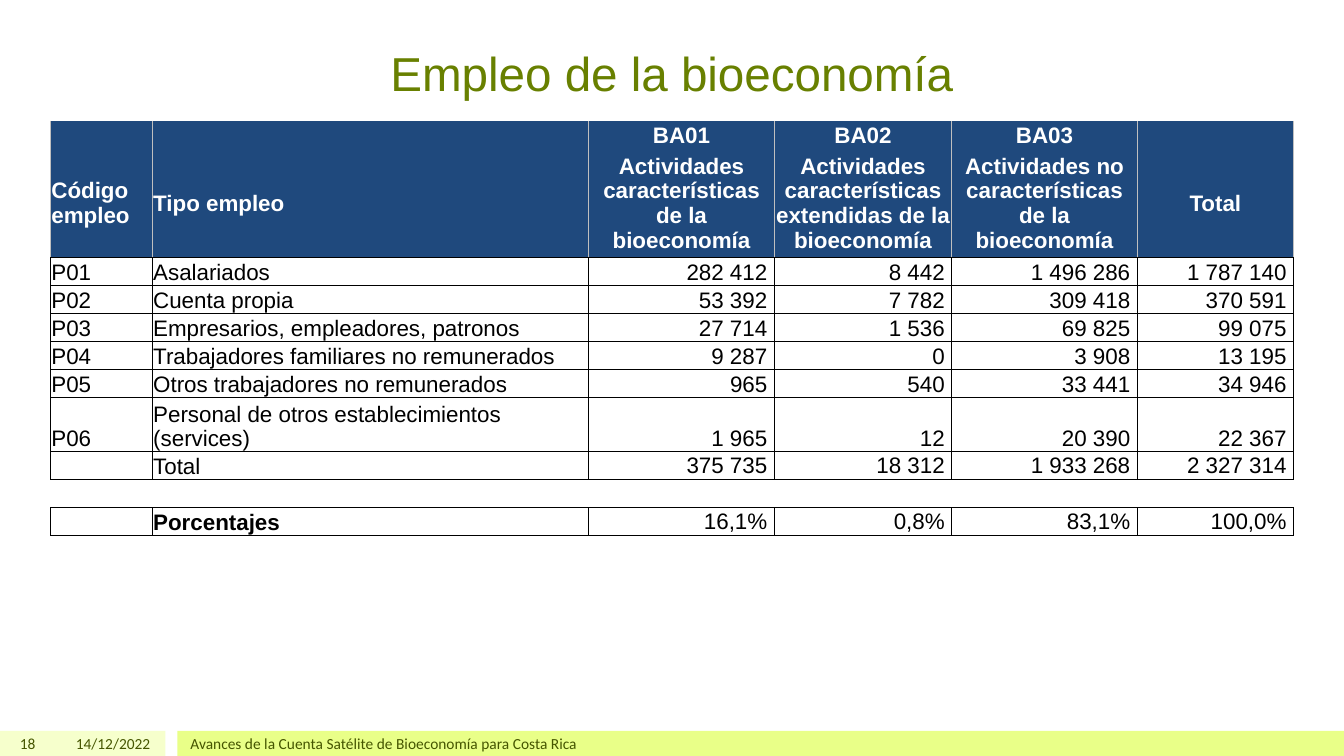
"""Build the slide with the employment table of the bioeconomy."""
from dataclasses import dataclass
from typing import Optional

from lxml.etree import SubElement
from pptx import Presentation
from pptx.dml.color import RGBColor
from pptx.enum.shapes import MSO_SHAPE
from pptx.enum.text import MSO_ANCHOR as Anchor, PP_ALIGN as Align
from pptx.oxml.ns import qn
from pptx.slide import Slide
from pptx.table import Table, _Cell as Cell
from pptx.text.text import TextFrame
from pptx.util import Inches, Pt


@dataclass(frozen=True)
class Theme:
    """Colours, fonts and type sizes of the slide."""
    title: str = "688000"
    footer: str = "455500"
    footer_left: str = "F6FFCC"
    footer_right: str = "E9FF88"
    header: str = "1F497D"
    header_line: str = "BFBFBF"
    white: str = "FFFFFF"
    black: str = "000000"
    body_font: str = "Arial"
    footer_font: str = "Calibri"
    title_size: int = 34
    table_size: int = 16
    footer_size: int = 11


@dataclass(frozen=True)
class Style:
    """Look of one piece of text."""
    font: str
    size: int
    color: str
    bold: bool = False
    align: Align = Align.LEFT
    anchor: Anchor = Anchor.MIDDLE


@dataclass(frozen=True)
class Line:
    """Colour and width of a cell border."""
    color: str
    width: float


@dataclass(frozen=True)
class FooterBand:
    """Coloured strip at the foot of the slide."""
    left: float
    width: float
    color: str


@dataclass(frozen=True)
class FooterText:
    """Text at the foot of the slide."""
    text: str
    left: float
    width: float
    align: Align


THEME = Theme()
BLACK_LINE = Line(THEME.black, 0.5)
HEADER_LINE = Line(THEME.header_line, 1)
FOOTER_TOP, FOOTER_HEIGHT = 7.25, 0.25
FOOTER_BANDS = [
    FooterBand(0, 1.64, THEME.footer_left),
    FooterBand(1.76, 11.57, THEME.footer_right),
]
FOOTER_TEXTS = [
    FooterText("18", 0, 0.45, Align.RIGHT),
    FooterText("14/12/2022", 0.5, 1.09, Align.RIGHT),
    FooterText("Avances de la Cuenta Satélite de Bioeconomía para Costa Rica", 1.79, 10, Align.LEFT),
]
COLUMN_WIDTHS = [1.01, 4.33, 1.84, 1.76, 1.84, 1.55]
ROW_HEIGHT = 0.26
TALL_ROWS = {1: 0.99, 7: 0.51}
HEADER_ROWS, TOTAL_ROW, GAP_ROW, PERCENT_ROW = 2, 8, 9, 10
LABEL_COLUMNS = 2
EMPLOYMENT = [
    ["", "", "BA01", "BA02", "BA03", ""],
    ["Código empleo", "Tipo empleo", "Actividades características de la bioeconomía",
     "Actividades características extendidas de la bioeconomía",
     "Actividades no características de la bioeconomía", "Total"],
    ["P01", "Asalariados", "282 412", "8 442", "1 496 286", "1 787 140"],
    ["P02", "Cuenta propia", "53 392", "7 782", "309 418", "370 591"],
    ["P03", "Empresarios, empleadores, patronos", "27 714", "1 536", "69 825", "99 075"],
    ["P04", "Trabajadores familiares no remunerados", "9 287", "0", "3 908", "13 195"],
    ["P05", "Otros trabajadores no remunerados", "965", "540", "33 441", "34 946"],
    ["P06", "Personal de otros establecimientos (services)", "1 965", "12", "20 390", "22 367"],
    ["", "Total", "375 735", "18 312", "1 933 268", "2 327 314"],
    [""] * len(COLUMN_WIDTHS),
    ["", "Porcentajes", "16,1%", "0,8%", "83,1%", "100,0%"],
]


def write(frame: TextFrame, text: str, style: Style) -> None:
    """Put formatted text in a frame."""
    frame.text = text
    paragraph = frame.paragraphs[0]
    paragraph.alignment = style.align
    for run in paragraph.runs:
        run.font.name = style.font
        run.font.size = Pt(style.size)
        run.font.bold = style.bold
        run.font.color.rgb = RGBColor.from_string(style.color)
    if not text:
        SubElement(paragraph._p, qn("a:endParaRPr"), sz=str(style.size * 100))


def add_title(slide: Slide, text: str) -> None:
    """Fill and place the title."""
    title = slide.shapes.title
    title.left, title.top = Inches(1.54), Inches(0.3)
    title.width, title.height = Inches(10.25), Inches(0.75)
    title.text_frame.vertical_anchor = Anchor.BOTTOM
    write(title.text_frame, text,
          Style(THEME.body_font, THEME.title_size, THEME.title, align=Align.CENTER))


def add_footer_band(slide: Slide, band: FooterBand) -> None:
    """Draw one footer strip."""
    shape = slide.shapes.add_shape(MSO_SHAPE.RECTANGLE, Inches(band.left), Inches(FOOTER_TOP),
                                   Inches(band.width), Inches(FOOTER_HEIGHT))
    shape.shadow.inherit = False
    shape.fill.solid()
    shape.fill.fore_color.rgb = RGBColor.from_string(band.color)
    shape.line.fill.background()


def add_footer_text(slide: Slide, item: FooterText) -> None:
    """Draw one footer text."""
    box = slide.shapes.add_textbox(Inches(item.left), Inches(FOOTER_TOP),
                                   Inches(item.width), Inches(FOOTER_HEIGHT))
    frame = box.text_frame
    frame.word_wrap = True
    frame.margin_top = frame.margin_bottom = 0
    frame.vertical_anchor = Anchor.MIDDLE
    write(frame, item.text,
          Style(THEME.footer_font, THEME.footer_size, THEME.footer, align=item.align))


def set_border(cell: Cell, side: str, line: Optional[Line]) -> None:
    """Set one border of a cell, or hide it."""
    border = SubElement(cell._tc.get_or_add_tcPr(), qn(f"a:ln{side}"))
    if line is None:
        SubElement(border, qn("a:noFill"))
        return
    border.set("w", str(Pt(line.width)))
    SubElement(SubElement(border, qn("a:solidFill")), qn("a:srgbClr"), val=line.color)


def border_line(row: int, side: str) -> Optional[Line]:
    """Choose the border for a side of the cells in a row."""
    if row < HEADER_ROWS:
        if side in "LR":
            return HEADER_LINE
        return BLACK_LINE if (row, side) == (HEADER_ROWS - 1, "B") else None
    return None if row == GAP_ROW and side in "LR" else BLACK_LINE


def cell_style(row: int, column: int) -> Style:
    """Choose the text style of a cell."""
    is_header, is_label = row < HEADER_ROWS, column < LABEL_COLUMNS
    value_align = Align.CENTER if is_header else Align.RIGHT
    is_middle = is_header or (row >= TOTAL_ROW and not is_label)
    return Style(THEME.body_font, THEME.table_size,
                 THEME.white if is_header else THEME.black,
                 is_header or (row == PERCENT_ROW and is_label),
                 Align.LEFT if is_label else value_align,
                 Anchor.MIDDLE if is_middle else Anchor.BOTTOM)


def format_cell(table: Table, row: int, column: int) -> None:
    """Fill, border and write one cell."""
    cell = table.cell(row, column)
    is_header = row < HEADER_ROWS
    is_value = not is_header and column >= LABEL_COLUMNS
    style = cell_style(row, column)
    cell.margin_left = cell.margin_right = Inches(0.07 if is_value else 0.01)
    cell.margin_top = Inches(0 if is_value else 0.01)
    cell.margin_bottom = 0
    cell.vertical_anchor = style.anchor
    for side in "LRTB":
        set_border(cell, side, border_line(row, side))
    if is_header:
        cell.fill.solid()
        cell.fill.fore_color.rgb = RGBColor.from_string(THEME.header)
    else:
        cell.fill.background()
    write(cell.text_frame, EMPLOYMENT[row][column], style)


def add_employment_table(slide: Slide) -> None:
    """Draw the employment table."""
    heights = [TALL_ROWS.get(row, ROW_HEIGHT) for row in range(len(EMPLOYMENT))]
    table = slide.shapes.add_table(len(heights), len(COLUMN_WIDTHS), Inches(0.5), Inches(1.2),
                                   Inches(sum(COLUMN_WIDTHS)), Inches(sum(heights))).table
    table.first_row = table.horz_banding = False
    for column, width in zip(table.columns, COLUMN_WIDTHS):
        column.width = Inches(width)
    for row, height in enumerate(heights):
        table.rows[row].height = Inches(height)
        for column in range(len(COLUMN_WIDTHS)):
            format_cell(table, row, column)


def main() -> None:
    """Build and save the presentation."""
    presentation = Presentation()
    presentation.slide_width, presentation.slide_height = Inches(13.33), Inches(7.5)
    slide = presentation.slides.add_slide(presentation.slide_layouts[5])
    for band in FOOTER_BANDS:
        add_footer_band(slide, band)
    add_title(slide, "Empleo de la bioeconomía")
    for item in FOOTER_TEXTS:
        add_footer_text(slide, item)
    add_employment_table(slide)
    presentation.save("out.pptx")


if __name__ == "__main__":
    main()
